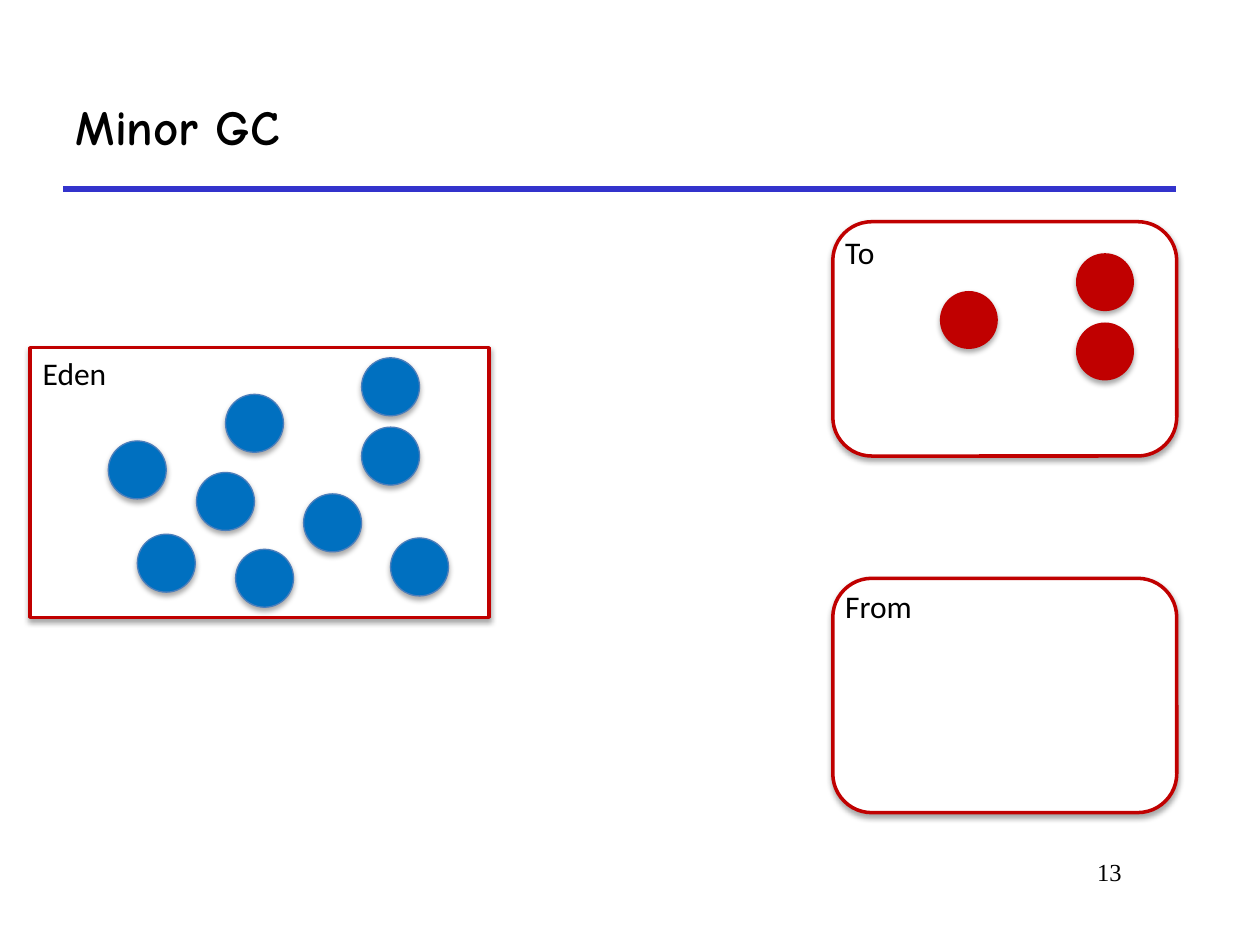
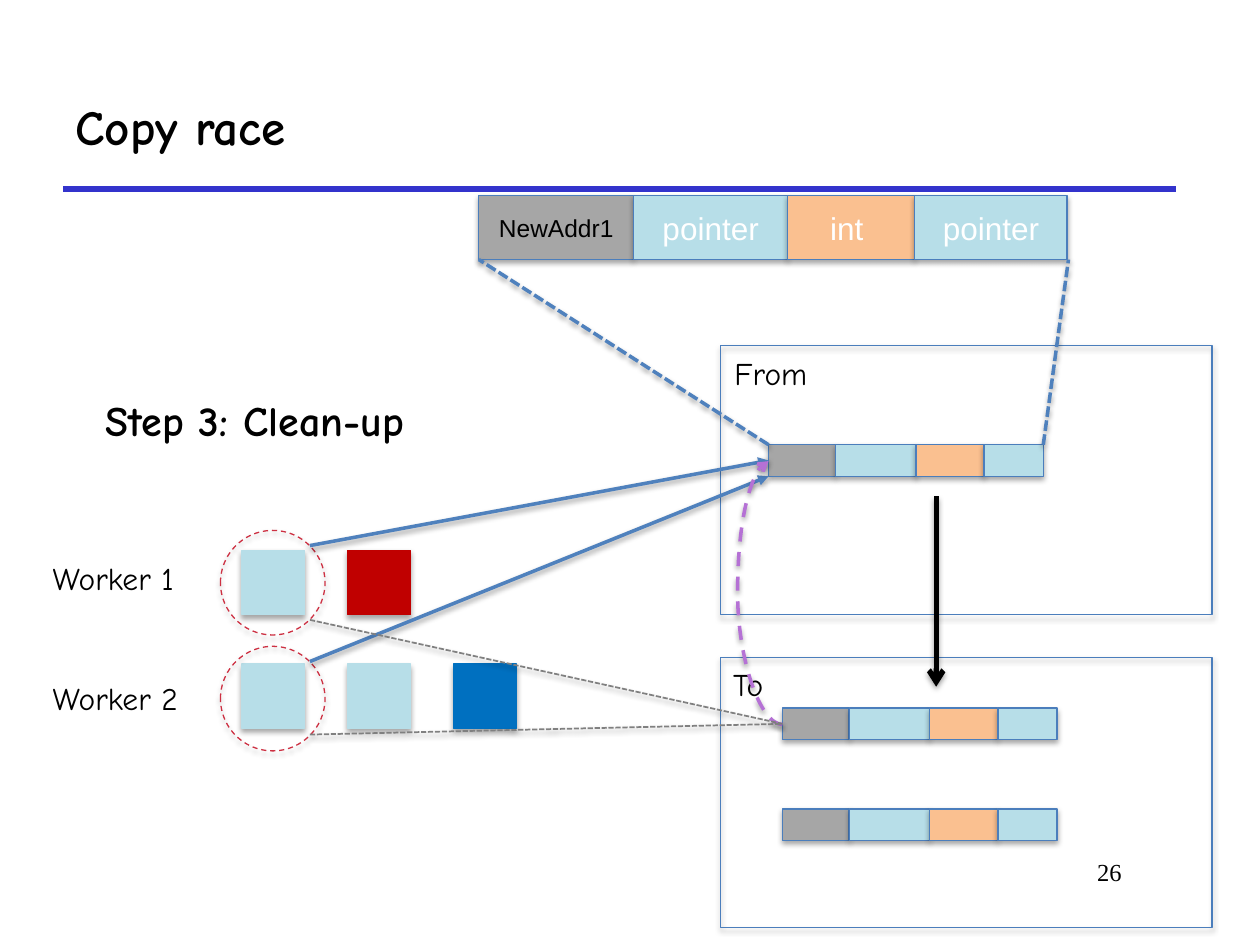
"""Build two slides on garbage collection: a minor collection and the copy race."""
from itertools import accumulate

from lxml import etree
from pptx import Presentation
from pptx.dml.color import RGBColor
from pptx.enum import dml, shapes, text
from pptx.oxml import ns
from pptx.util import Inches, Pt

COLOURS = {
    "black": "000000", "white": "FFFFFF", "rule": "3333CC", "edge": "4B7EBC",
    "link": "4F81BD", "red": "C00000", "blue": "0070C0", "sky": "B7DEE8",
    "grey": "A6A6A6", "orange": "FAC090", "ring": "CD3042", "purple": "B571D5",
    "faint": "808080",
}
RGB = {name: RGBColor.from_string(value) for name, value in COLOURS.items()}
PRESET = shapes.MSO_SHAPE
DASH = dml.MSO_LINE.DASH
SHORT_DASH = dml.MSO_LINE.SQUARE_DOT
HAND = "Comic Neue"


def write(frame, words, font="Calibri", size=18, colour="black", bold=False,
          align=text.PP_ALIGN.LEFT, anchor=text.MSO_ANCHOR.TOP, wrap=True,
          fit=text.MSO_AUTO_SIZE.NONE):
    frame.word_wrap = wrap
    frame.auto_size = fit
    frame.vertical_anchor = anchor
    paragraph = frame.paragraphs[0]
    paragraph.alignment = align
    run = paragraph.add_run()
    run.text = words
    run.font.name = font
    run.font.size = Pt(size)
    run.font.bold = bold
    run.font.color.rgb = RGB[colour]


def add_box(slide, preset, left, top, width, height, fill=None, line=None,
            weight=0.75, dash=None):
    box = slide.shapes.add_shape(preset, *map(Inches, (left, top, width, height)))
    if fill:
        box.fill.solid()
        box.fill.fore_color.rgb = RGB[fill]
    else:
        box.fill.background()
    if line:
        box.line.color.rgb = RGB[line]
        box.line.width = Pt(weight)
        box.line.dash_style = dash
    else:
        box.line.fill.background()
    return box


deck = Presentation()
deck.slide_width, deck.slide_height = Inches(10), Inches(7.5)

for heading, number in (("Minor GC", "13"), ("Copy race", "26")):
    slide = deck.slides.add_slide(deck.slide_layouts[5])
    title = slide.shapes.title
    title.left, title.top, title.width, title.height = map(Inches, (0.5, 0.5, 8.83, 1))
    write(title.text_frame, heading, font=HAND, size=28, bold=True,
          anchor=text.MSO_ANCHOR.MIDDLE)
    rule = slide.shapes.add_connector(shapes.MSO_CONNECTOR.STRAIGHT,
                                      *map(Inches, (0.5, 1.5, 9.33, 1.5)))
    rule.line.color.rgb = RGB["rule"]
    rule.line.width = Pt(3)
    etree.SubElement(rule.element.spPr, ns.qn("a:effectLst"))
    page = slide.shapes.add_textbox(*map(Inches, (6.92, 6.75, 2.08, 0.5)))
    write(page.text_frame, number, font="Times New Roman", size=14,
          align=text.PP_ALIGN.RIGHT)

minor_gc, copy_race = deck.slides

for space, preset, left, top, width, height, label_top in (
        ("Eden", PRESET.RECTANGLE, 0.24, 2.76, 3.64, 2.14, 2.76),
        ("To", PRESET.ROUNDED_RECTANGLE, 6.61, 1.76, 2.73, 1.86, 1.8),
        ("From", PRESET.ROUNDED_RECTANGLE, 6.61, 4.59, 2.73, 1.86, 4.61)):
    add_box(minor_gc, preset, left, top, width, height, "white", "red", 2)
    label = minor_gc.shapes.add_textbox(*map(Inches, (left, label_top, 1.45, 0.4)))
    write(label.text_frame, space)

survivors = [(7.46, 2.31), (8.54, 2.56), (8.54, 2.01)]
eden_objects = [(0.86, 3.5), (1.79, 3.13), (2.41, 3.92), (1.09, 4.24), (2.87, 3.39),
                (1.56, 3.75), (2.87, 2.84), (1.87, 4.36), (3.1, 4.27)]
for objects, fill, line in ((survivors, "red", None), (eden_objects, "blue", "edge")):
    for left, top in objects:
        add_box(minor_gc, PRESET.OVAL, left, top, 0.46, 0.46, fill, line)

for top, ring_top, queue in ((4.37, 4.21, ("sky", "red")),
                             (5.27, 5.13, ("sky", "sky", "blue"))):
    for place, fill in enumerate(queue):
        add_box(copy_race, PRESET.RECTANGLE, 1.92 + 0.84 * place, top, 0.5, 0.51,
                fill, fill)
    add_box(copy_race, PRESET.OVAL, 1.75, ring_top, 0.83, 0.83, line="ring", dash=DASH)

for top in (2.74, 5.22):
    add_box(copy_race, PRESET.RECTANGLE, 5.72, top, 3.9, 2.14, line="edge")

for words, left, top, width, size, bold in (
        ("Worker 1", 0.32, 4.39, 1.3, 18, False),
        ("Worker 2", 0.32, 5.34, 1.34, 18, False),
        ("From", 5.73, 2.76, 0.81, 18, False),
        ("To", 5.72, 5.23, 0.51, 18, False),
        ("Step 3: Clean-up", 0.74, 3.08, 3.02, 24, True)):
    label = copy_race.shapes.add_textbox(*map(Inches, (left, top, width, size / 45)))
    write(label.text_frame, words, font=HAND, size=size, bold=bold, wrap=False,
          fit=text.MSO_AUTO_SIZE.SHAPE_TO_FIT_TEXT)

fields = (("NewAddr1", "grey", 14, "black"), ("pointer", "sky", 18, "white"),
          ("int ", "orange", 18, "white"), ("pointer", "sky", 18, "white"))
detail_widths = (1.23, 1.22, 1.01, 1.21)
record_widths = (0.53, 0.64, 0.54, 0.47)
headers = []
for start, top, height, widths in ((3.8, 1.55, 0.51, detail_widths),
                                   (6.1, 3.53, 0.25, record_widths),
                                   (6.21, 5.62, 0.25, record_widths),
                                   (6.21, 6.42, 0.25, record_widths)):
    lefts = accumulate(widths, initial=start)
    cells = []
    for left, width, (words, fill, size, colour) in zip(lefts, widths, fields):
        cell = add_box(copy_race, PRESET.RECTANGLE, left, top, width, height,
                       fill, "edge")
        if widths is detail_widths:
            write(cell.text_frame, words, font="Arial", size=size, colour=colour,
                  align=text.PP_ALIGN.CENTER, anchor=text.MSO_ANCHOR.MIDDLE)
        cells.append(cell)
    headers.append(cells[0])
detail_header, from_header, to_header, spare_header = headers

STRAIGHT, CURVE = shapes.MSO_CONNECTOR.STRAIGHT, shapes.MSO_CONNECTOR.CURVE
for kind, ends, colour, weight, dash, head, target in (
        (STRAIGHT, (2.46, 4.33, 6.1, 3.66), "link", 2, None, "triangle", from_header),
        (STRAIGHT, (2.46, 5.25, 6.1, 3.78), "link", 2, None, "triangle", None),
        (STRAIGHT, (7.43, 3.94, 7.43, 5.45), "black", 3, None, "arrow", None),
        (STRAIGHT, (6.1, 3.53, 3.8, 2.06), "link", 2, SHORT_DASH, None, None),
        (STRAIGHT, (8.28, 3.53, 8.48, 2.06), "link", 2, SHORT_DASH, None, None),
        (CURVE, (6.21, 5.75, 6.1, 3.66), "purple", 2, DASH, "arrow", None),
        (STRAIGHT, (2.46, 4.92, 6.21, 5.75), "faint", 1, SHORT_DASH, None, to_header),
        (STRAIGHT, (2.46, 5.83, 6.21, 5.75), "faint", 1, SHORT_DASH, None, to_header)):
    link = copy_race.shapes.add_connector(kind, *map(Inches, ends))
    link.line.color.rgb = RGB[colour]
    link.line.width = Pt(weight)
    link.line.dash_style = dash
    properties = link.element.spPr
    if head:
        etree.SubElement(properties.find(ns.qn("a:ln")), ns.qn("a:tailEnd"), type=head)
    if target:
        link.end_connect(target, 1)
    if kind == CURVE:
        bends = properties.find(ns.qn("a:prstGeom")).get_or_add_avLst()
        etree.SubElement(bends, ns.qn("a:gd"), name="adj1", fmla="val 323700")

deck.save("out.pptx")
